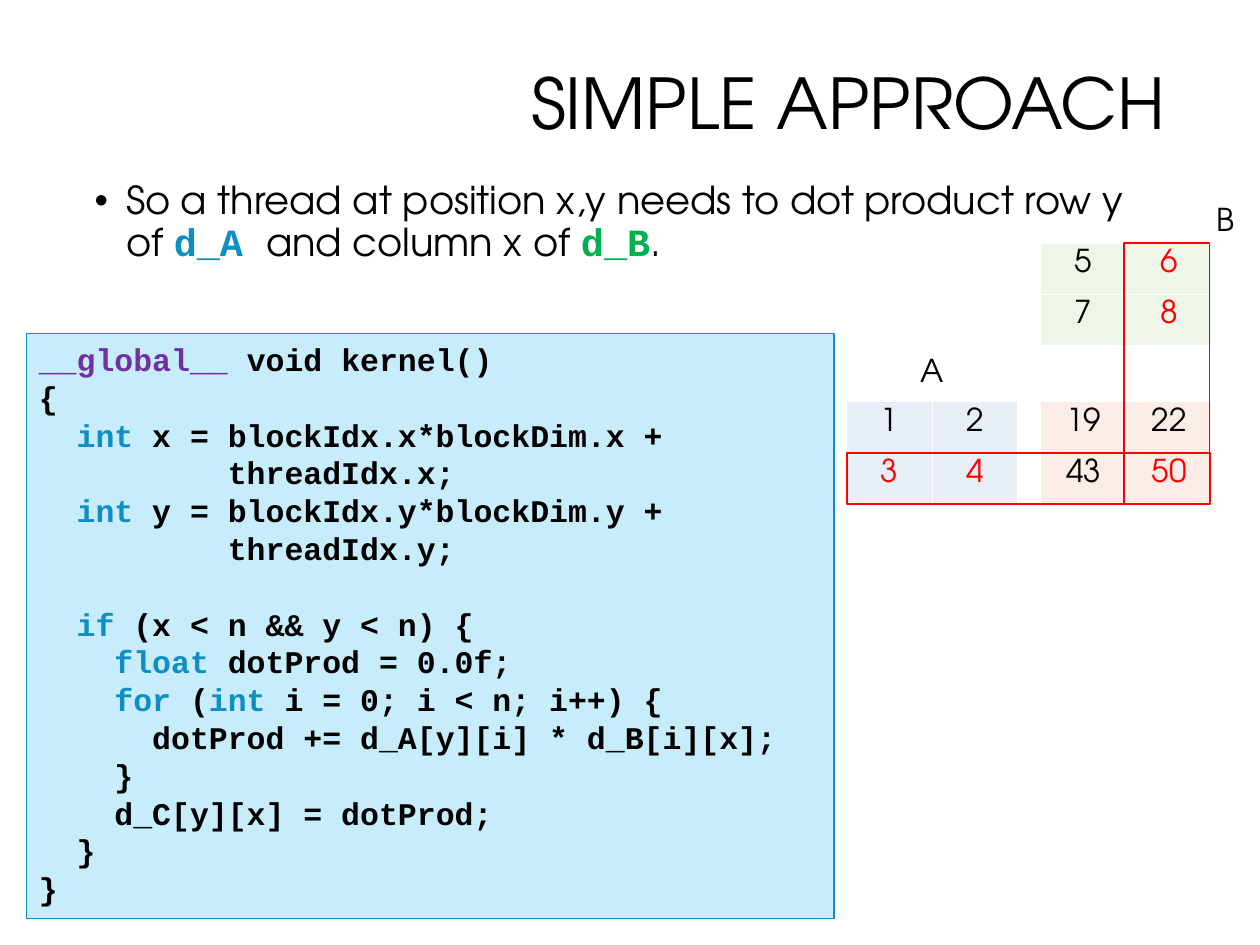
from itertools import cycle

from lxml import etree
from pptx import Presentation
from pptx.dml.color import RGBColor
from pptx.enum.shapes import MSO_SHAPE
from pptx.enum.text import MSO_ANCHOR, MSO_AUTO_SIZE, PP_ALIGN
from pptx.oxml.ns import qn
from pptx.util import Pt

TEXT_FONT = "TeX Gyre Adventor"
CODE_FONT = "Courier New"

BLACK = RGBColor(0x00, 0x00, 0x00)
RED = RGBColor(0xFF, 0x00, 0x00)
BLUE = RGBColor(0x0D, 0x8E, 0xC5)
GREEN = RGBColor(0x00, 0xB0, 0x50)
PURPLE = RGBColor(0x70, 0x30, 0xA0)
CODE_FILL = RGBColor(0xC7, 0xEC, 0xFB)
A_FILL = RGBColor(0xE7, 0xEE, 0xF5)
B_FILL = RGBColor(0xEE, 0xF6, 0xE9)
C_FILL = RGBColor(0xFB, 0xEC, 0xE7)

# Matrix grid: A left of C, B above C
CELL_W, CELL_H = 48.96, 29.2
A_LEFT, C_LEFT = 483.84, 594.72
B_TOP, C_TOP = 138.96, 229.5
GRID_RIGHT = C_LEFT + 2 * CELL_W - 1.4
GRID_BOTTOM = C_TOP + 2 * CELL_H

# Keywords stand between backticks
KERNEL = """`__global__ `void kernel()
{
  `int `x = blockIdx.x*blockDim.x +
          threadIdx.x;
  `int `y = blockIdx.y*blockDim.y +
          threadIdx.y;

  `if `(x < n && y < n) {
    `float `dotProd = 0.0f;
    `for `(`int` i = 0; i < n; i++) {
      dotProd += d_A[y][i] * d_B[i][x];
    }
    d_C[y][x] = dotProd;
  }
}"""


def style(font, size, color=BLACK, name=TEXT_FONT, bold=False):
    font.size, font.name, font.bold = Pt(size), name, bold
    font.color.rgb = color


def place(shape, left, top, width, height):
    shape.left, shape.top = Pt(left), Pt(top)
    shape.width, shape.height = Pt(width), Pt(height)


def add_run(paragraph, text, *font_style):
    run = paragraph.add_run()
    run.text = text
    style(run.font, *font_style)


def fill_title(title):
    place(title, 171.4, 10.1, 501.8, 101.5)
    frame = title.text_frame
    frame.text = "SIMPLE APPROACH"
    frame.auto_size = MSO_AUTO_SIZE.NONE
    frame.vertical_anchor = MSO_ANCHOR.MIDDLE
    heading = frame.paragraphs[0]
    heading.alignment = PP_ALIGN.RIGHT
    heading.line_spacing = 0.9
    style(heading.runs[0].font, 40)


def fill_body(body):
    place(body, 46.8, 100.1, 626.4, 77.8)
    body.text_frame.auto_size = MSO_AUTO_SIZE.NONE
    point = body.text_frame.paragraphs[0]
    properties = point._p.get_or_add_pPr()
    properties.set("marL", str(Pt(18)))
    properties.set("indent", str(-Pt(18)))
    etree.SubElement(properties, qn("a:buFont"), typeface="Arial")
    etree.SubElement(properties, qn("a:buChar"), char="•")
    point.line_spacing = 0.9
    point.space_before = Pt(0)
    add_run(point, "So a thread at position x,y needs to dot product row y of ", 22)
    add_run(point, "d_A ", 22, BLUE, CODE_FONT, True)
    add_run(point, "and column x of ", 22)
    add_run(point, "d_B", 22, GREEN, CODE_FONT, True)
    add_run(point, ".", 22)


def add_white_borders(cell):
    properties = cell._tc.get_or_add_tcPr()
    for side in ("a:lnL", "a:lnR", "a:lnT", "a:lnB"):
        border = etree.SubElement(properties, qn(side), w=str(Pt(1)))
        solid = etree.SubElement(border, qn("a:solidFill"))
        etree.SubElement(solid, qn("a:srgbClr"), val="FFFFFF")


def add_matrix(slide, left, top, rows, fill, red_values):
    matrix = slide.shapes.add_table(
        2, 2, Pt(left), Pt(top), Pt(2 * CELL_W), Pt(2 * CELL_H)).table
    matrix.first_row = matrix.horz_banding = False
    for row, values in zip(matrix.rows, rows):
        row.height = Pt(CELL_H)
        for cell, value in zip(row.cells, values):
            add_white_borders(cell)
            cell.fill.solid()
            cell.fill.fore_color.rgb = fill
            entry = cell.text_frame.paragraphs[0]
            entry.text = str(value)
            entry.alignment = PP_ALIGN.CENTER
            style(entry.runs[0].font, 18, RED if value in red_values else BLACK)


def add_box(slide, left, top, width, height, line, line_width, fill=None):
    box = slide.shapes.add_shape(
        MSO_SHAPE.RECTANGLE, Pt(left), Pt(top), Pt(width), Pt(height))
    box.shadow.inherit = False
    box.line.color.rgb = line
    box.line.width = Pt(line_width)
    if fill is None:
        box.fill.background()
    else:
        box.fill.solid()
        box.fill.fore_color.rgb = fill
    return box


def add_label(slide, text, left, top):
    label = slide.shapes.add_textbox(Pt(left), Pt(top), Pt(45.4), Pt(29))
    frame = label.text_frame
    frame.text = text
    frame.word_wrap = True
    frame.auto_size = MSO_AUTO_SIZE.SHAPE_TO_FIT_TEXT
    frame.paragraphs[0].alignment = PP_ALIGN.CENTER
    style(frame.paragraphs[0].runs[0].font, 18)


def add_code(slide):
    code = add_box(slide, 15.1, 190.8, 461.5, 334.1, BLUE, 0.75, CODE_FILL)
    frame = code.text_frame
    frame.word_wrap = True
    frame.auto_size = MSO_AUTO_SIZE.SHAPE_TO_FIT_TEXT
    frame.vertical_anchor = MSO_ANCHOR.TOP
    for number, source_line in enumerate(KERNEL.split("\n")):
        line = frame.add_paragraph() if number else frame.paragraphs[0]
        line.alignment = PP_ALIGN.LEFT
        if not source_line:
            # The blank code line keeps the height of the others
            etree.SubElement(line._p, qn("a:endParaRPr"), sz="1800")
            continue
        keyword_color = BLUE if number else PURPLE
        for part, color in zip(source_line.split("`"), cycle((BLACK, keyword_color))):
            if part:
                add_run(line, part, 18, color, CODE_FONT, True)


def main():
    presentation = Presentation()
    presentation.slide_width, presentation.slide_height = Pt(720), Pt(540)
    slide = presentation.slides.add_slide(presentation.slide_layouts[1])

    fill_title(slide.shapes.title)
    fill_body(slide.placeholders[1])

    # Matrices C, A and B
    add_matrix(slide, C_LEFT, C_TOP, [(19, 22), (43, 50)], C_FILL, {50})
    add_matrix(slide, A_LEFT, C_TOP, [(1, 2), (3, 4)], A_FILL, {3, 4})
    add_matrix(slide, C_LEFT, B_TOP, [(5, 6), (7, 8)], B_FILL, {6, 8})

    # Outlines of the row of A and the column of B that meet in C
    row_top, column_left = C_TOP + CELL_H, GRID_RIGHT - CELL_W
    add_box(slide, A_LEFT, row_top, GRID_RIGHT - A_LEFT, CELL_H, RED, 1)
    add_box(slide, column_left, B_TOP, CELL_W, GRID_BOTTOM - B_TOP, RED, 1)
    add_label(slide, "A", 509.8, 197.3)
    add_label(slide, "B", 677.5, 110.9)

    add_code(slide)
    presentation.save("out.pptx")


if __name__ == "__main__":
    main()
